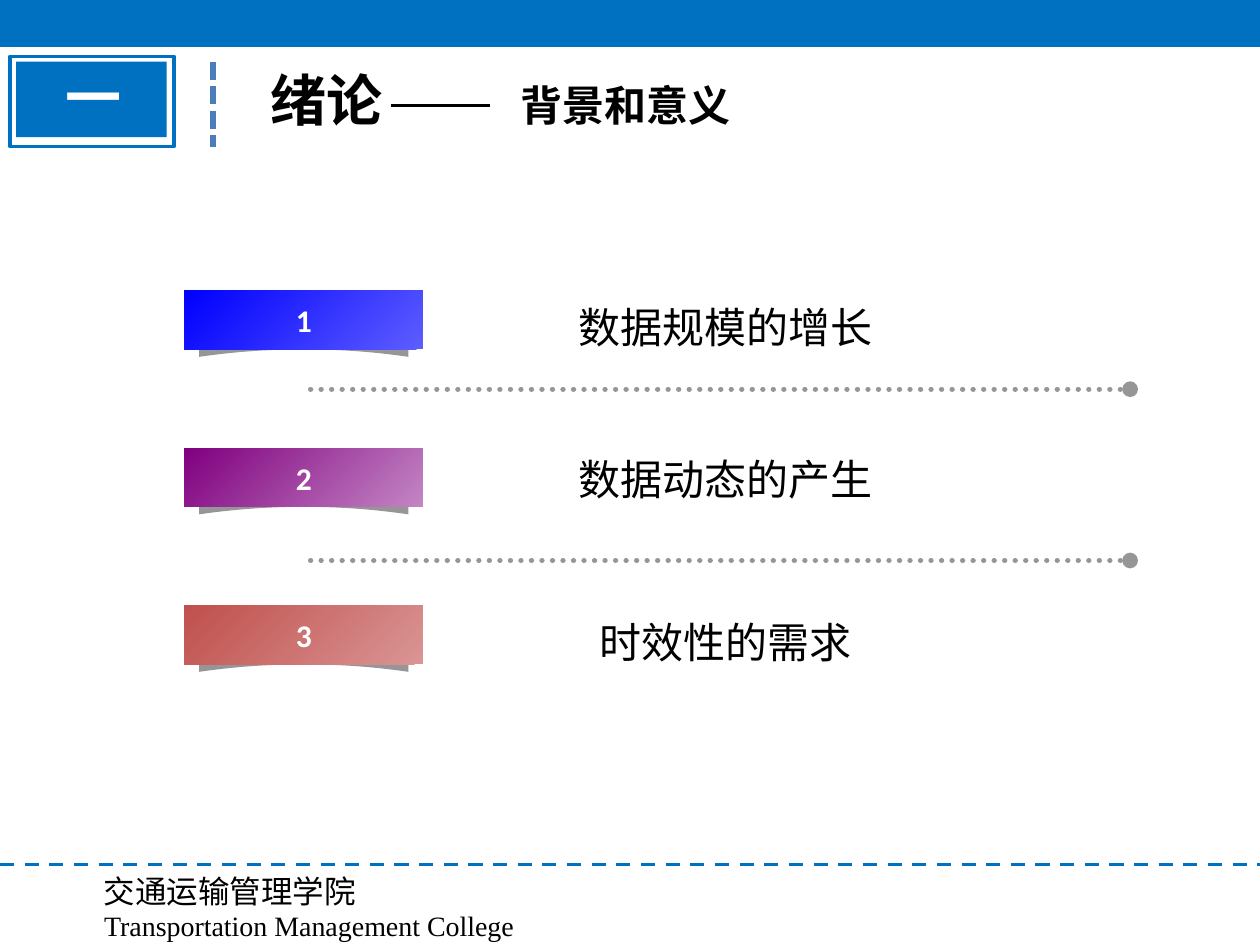
from lxml.etree import SubElement
from pptx import Presentation
from pptx.dml.color import RGBColor
from pptx.enum.dml import MSO_LINE
from pptx.enum.shapes import MSO_CONNECTOR, MSO_SHAPE
from pptx.enum.text import MSO_ANCHOR, MSO_AUTO_SIZE, PP_ALIGN
from pptx.oxml.ns import qn
from pptx.util import Pt

BLUE = RGBColor(0x00, 0x70, 0xC0)
DOT_BLUE = RGBColor(0x4A, 0x7E, 0xBB)
GREY = RGBColor(0x96, 0x96, 0x96)
BLACK = RGBColor(0x00, 0x00, 0x00)
WHITE = RGBColor(0xFF, 0xFF, 0xFF)
CHINESE = "Noto Sans CJK SC"

ITEMS = [
    ("数据规模的增长", RGBColor(0x5D, 0x5D, 0xFF), RGBColor(0x00, 0x00, 0xFF), 168.5),
    ("数据动态的产生", RGBColor(0xC3, 0x86, 0xC3), RGBColor(0x80, 0x00, 0x80), 255.6),
    ("时效性的需求", RGBColor(0xD9, 0x95, 0x94), RGBColor(0xC0, 0x50, 0x4D), 348.5),
]


def write_text(shape, text, size, font_name=CHINESE, color=BLACK, bold=False, align=PP_ALIGN.LEFT):
    paragraph = shape.text_frame.paragraphs[0]
    paragraph.text = text
    paragraph.alignment = align
    run = paragraph.runs[0]
    run.font.size = Pt(size)
    run.font.name = font_name
    run.font.bold = bold
    run.font.color.rgb = color
    SubElement(run.font._element, qn("a:ea")).set("typeface", font_name)


def add_label(slide, box, text, size, wrap=False, **style):
    label = slide.shapes.add_textbox(*map(Pt, box))
    label.text_frame.word_wrap = wrap
    label.text_frame.auto_size = MSO_AUTO_SIZE.SHAPE_TO_FIT_TEXT
    write_text(label, text, size, **style)


def add_rectangle(slide, box, fill_color, line_color=None):
    rectangle = slide.shapes.add_shape(MSO_SHAPE.RECTANGLE, *map(Pt, box))
    rectangle.shadow.inherit = False
    rectangle.fill.solid()
    rectangle.fill.fore_color.rgb = fill_color
    if line_color is None:
        rectangle.line.fill.background()
    else:
        rectangle.line.color.rgb = line_color
        rectangle.line.width = Pt(2)
    return rectangle


def add_line(slide, ends, color, width, dash=None, round_end=False):
    connector = slide.shapes.add_connector(MSO_CONNECTOR.STRAIGHT, *map(Pt, ends))
    connector.line.color.rgb = color
    connector.line.width = Pt(width)
    if dash is not None:
        connector.line.dash_style = dash
    if round_end:
        line = connector.line._get_or_add_ln()
        line.set("cap", "rnd")
        SubElement(line, qn("a:round"))
        SubElement(line, qn("a:tailEnd")).set("type", "oval")
    SubElement(connector._element.spPr, qn("a:effectLst"))


def add_header(slide, left, top, width):
    add_rectangle(slide, (left - 2, top, width + 16, 25.9), BLUE, BLUE)
    add_rectangle(slide, (left + 5.8, top + 32.2, 93.6, 51.6), WHITE, BLUE)
    add_rectangle(slide, (left + 9.2, top + 35.2, 86, 43.2), BLUE, BLUE).line.fill.background()
    add_line(slide, (left + 121.7, top + 35.3, left + 121.7, top + 84.2), DOT_BLUE, 3.5,
             MSO_LINE.SQUARE_DOT)
    add_label(slide, (left + 30.2, top + 32.4, 46.4, 46), "一", 32, color=WHITE, bold=True)
    add_label(slide, (left + 147.6, top + 33.8, 93.6, 46), "绪论", 32, wrap=True, bold=True)
    add_line(slide, (left + 223.2, top + 60.2, left + 280, top + 60.2), BLACK, 2)
    add_label(slide, (left + 290.2, top + 41.8, 160.6, 36.4), "背景和意义", 24, wrap=True, bold=True)


def add_ribbon(slide, left, top, width, height, number, light, dark):
    inset, rise, tail, steps = 8.3, 4.3, 11.5, 20
    bottom = top + height + rise
    center = left + width / 2
    half = width / 2 - inset
    offsets = [1 - 2 * step / steps for step in range(steps + 1)]
    curve = [(center + half * offset, bottom - rise * (1 - offset ** 2)) for offset in offsets]
    curve += [(center - half, bottom - tail), (center, bottom - tail - rise),
              (center + half, bottom - tail)]
    points = [(Pt(x), Pt(y)) for x, y in curve]
    builder = slide.shapes.build_freeform(*points[0])
    builder.add_line_segments(points[1:], close=True)
    fold = builder.convert_to_shape()
    fold.shadow.inherit = False
    fold.fill.solid()
    fold.fill.fore_color.rgb = GREY
    fold.line.fill.background()

    banner = add_rectangle(slide, (left, top, width, height), dark)
    banner.fill.gradient()
    banner.fill.gradient_angle = 135
    for stop, color in zip(banner.fill.gradient_stops, (light, dark)):
        stop.color.rgb = color
    banner.text_frame.word_wrap = False
    banner.text_frame.vertical_anchor = MSO_ANCHOR.MIDDLE
    write_text(banner, str(number), 18, "Calibri", WHITE, True, PP_ALIGN.CENTER)


def add_items(slide, left, top, width, pitch):
    for index, (text, light, dark, label_top) in enumerate(ITEMS):
        add_ribbon(slide, left, top + index * pitch, 136.2, 33.4, index + 1, light, dark)
        add_label(slide, (left + 218, label_top, 182.4, 36.4), text, 24, align=PP_ALIGN.CENTER)
    for line_top in (top + 56.2, top + 154.1):
        add_line(slide, (left + 72, line_top, left + width, line_top), GREY, 3,
                 MSO_LINE.ROUND_DOT, round_end=True)


def add_footer(slide, left, top, width):
    add_line(slide, (left, top, left + width, top), BLUE, 2, MSO_LINE.DASH)
    add_label(slide, (left + 52.2, top + 0.7, 158.4, 29), "交通运输管理学院", 18)
    add_label(slide, (left + 52.4, top + 21.6, 249, 26.6), "Transportation Management College", 16,
              font_name="Times New Roman")


def main():
    presentation = Presentation()
    presentation.slide_width = Pt(720)
    presentation.slide_height = Pt(540)
    slide = presentation.slides.add_slide(presentation.slide_layouts[6])
    add_header(slide, 0, 0, 720)
    add_footer(slide, 0, 493.9, 720)
    add_items(slide, 105.5, 166.2, 540.3, 90)
    presentation.save("out.pptx")


if __name__ == "__main__":
    main()
